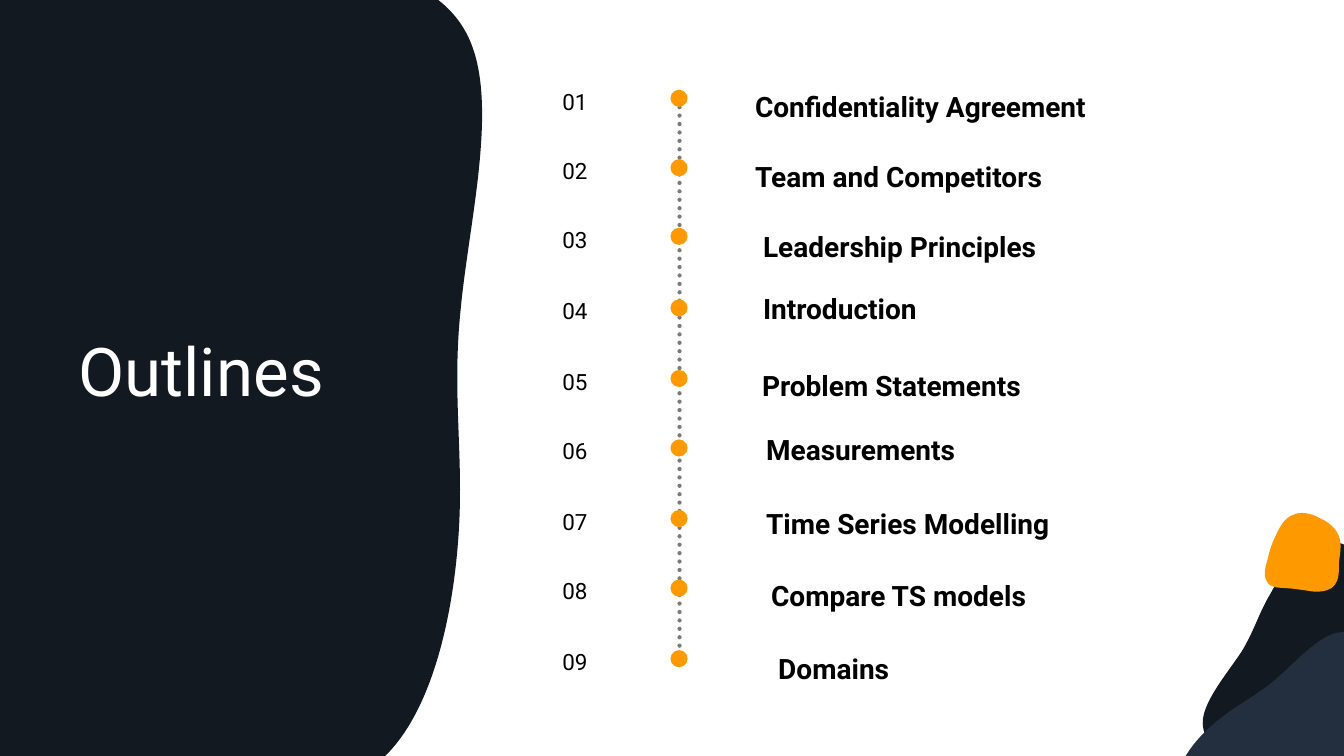
from math import cos, radians, sin

from lxml.etree import SubElement
from pptx import Presentation
from pptx.dml.color import RGBColor
from pptx.enum.dml import MSO_LINE
from pptx.enum.shapes import MSO_CONNECTOR, MSO_SHAPE
from pptx.enum.text import MSO_AUTO_SIZE
from pptx.oxml.ns import qn
from pptx.util import Inches, Pt

NAVY, SLATE, ORANGE, GREY = "131921", "232F3E", "FF9900", "595959"
BLACK, WHITE = "000000", "FFFFFF"

HEADING = {"size": Pt(48)}
NUMBER = {"size": Pt(16)}
TOPIC = {"size": Pt(20), "bold": True}

# Top of each number; its dot sits a fixed distance lower
ROW_TOPS = [0.74, 1.43, 2.11, 2.82, 3.52, 4.21, 4.91, 5.6, 6.3]
DOT_DROP = 0.15

# Topic, left, top, width, height, line spacing
TOPICS = [
    ("Confidentiality Agreement", 7.39, 0.74, 3.74, 0.5, 1.3),
    ("Team and Competitors", 7.39, 1.43, 3.21, 0.5, 1.3),
    ("Leadership Principles", 7.47, 2.13, 3.3, 0.5, 1.3),
    ("Introduction", 7.47, 2.84, 2.47, 0.44, None),
    ("Problem Statements", 7.46, 3.51, 3.54, 0.5, 1.3),
    ("Measurements", 7.5, 4.24, 2.57, 0.44, None),
    ("Time Series Modelling", 7.5, 4.88, 3.35, 0.5, 1.3),
    ("Compare TS models", 7.55, 5.59, 3.04, 0.5, 1.3),
    ("Domains", 7.62, 6.31, 1.51, 0.5, 1.3),
]

# Each outline: a start point, then line ends (2 numbers) or Bezier curves (6 numbers)
PANEL = [
    (2.91, -0.35),
    (3.67, -0.37, 4.44, -0.19, 4.68, 0.45),
    (4.93, 1.11, 4.65, 2.22, 4.57, 3.06),
    (4.48, 3.91, 4.6, 4.49, 4.55, 5.28),
    (4.5, 6.07, 4.3, 7.05, 3.8, 7.52),
    (3.37, 7.93, 2.72, 7.94, 2.13, 7.68),
    (1.96, 7.59), (1.96, 7.69), (0, 7.69), (0, -0.15), (1.81, -0.15), (1.82, -0.15),
    (2.16, -0.29, 2.53, -0.35, 2.91, -0.35),
]
NAVY_BLOB = [
    (11.93, 7.14),
    (11.95, 6.94, 12.17, 6.68, 12.31, 6.47),
    (12.44, 6.26, 12.48, 6.09, 12.6, 5.89),
    (12.71, 5.68, 12.9, 5.45, 13.09, 5.39),
    (13.28, 5.33, 13.48, 5.45, 13.6, 5.63),
    (13.72, 5.82, 13.76, 6.07, 13.73, 6.33),
    (13.7, 6.58, 13.6, 6.83, 13.46, 7.07),
    (13.31, 7.31, 13.13, 7.53, 12.93, 7.63),
    (12.72, 7.72, 12.5, 7.68, 12.3, 7.59),
    (12.09, 7.49, 11.91, 7.34, 11.93, 7.14),
]
SLATE_BLOB = [
    (13.25, 6.28),
    (13.05, 6.33, 12.83, 6.59, 12.64, 6.75),
    (12.45, 6.91, 12.29, 6.98, 12.1, 7.13),
    (11.92, 7.27, 11.72, 7.49, 11.69, 7.68),
    (11.66, 7.88, 11.8, 8.06, 12, 8.15),
    (12.2, 8.24, 12.46, 8.25, 12.71, 8.18),
    (12.95, 8.11, 13.19, 7.98, 13.4, 7.8),
    (13.62, 7.62, 13.81, 7.41, 13.87, 7.19),
    (13.94, 6.98, 13.86, 6.76, 13.74, 6.57),
    (13.62, 6.39, 13.45, 6.23, 13.25, 6.28),
]
ORANGE_BLOB = [
    (13.04, 5.87),
    (12.96, 5.86, 12.9, 5.85, 12.82, 5.84),
    (12.73, 5.83, 12.62, 5.84, 12.58, 5.79),
    (12.53, 5.74, 12.54, 5.65, 12.57, 5.56),
    (12.59, 5.47, 12.61, 5.4, 12.65, 5.32),
    (12.69, 5.23, 12.74, 5.14, 12.82, 5.11),
    (12.9, 5.07, 13, 5.09, 13.09, 5.14),
    (13.18, 5.18, 13.25, 5.24, 13.28, 5.32),
    (13.31, 5.4, 13.29, 5.49, 13.28, 5.58),
    (13.28, 5.67, 13.28, 5.75, 13.24, 5.8),
    (13.2, 5.86, 13.12, 5.87, 13.04, 5.87),
]


def rgb(color):
    return RGBColor.from_string(color)


def paint(sp, color):
    sp.shadow.inherit = False
    sp.fill.solid()
    sp.fill.fore_color.rgb = rgb(color)
    sp.line.fill.background()


def to_local(x, y, box, angle):
    """Turn a slide point into a point of the unrotated box, in EMU."""
    left, top, width, height = box
    dx, dy = x - left - width / 2, y - top - height / 2
    a = radians(angle)
    return (Inches(dx * cos(a) + dy * sin(a) + width / 2),
            Inches(dy * cos(a) - dx * sin(a) + height / 2))


def add_blob(s, outline, color, box, angle=0):
    """Build a freeform that fills the box, then give it the curved outline."""
    left, top, width, height = map(Inches, box)
    right, bottom = left + width, top + height
    builder = s.shapes.build_freeform(left, top)
    builder.add_line_segments([(right, top), (right, bottom), (left, bottom)])
    sp = builder.convert_to_shape()
    geometry = next(sp._element.iter(qn("a:path")))
    for child in list(geometry):
        geometry.remove(child)
    for i, numbers in enumerate(outline):
        tag = "a:moveTo" if i == 0 else "a:lnTo" if len(numbers) == 2 else "a:cubicBezTo"
        segment = SubElement(geometry, qn(tag))
        for point in zip(numbers[::2], numbers[1::2]):
            x, y = to_local(*point, box, angle)
            SubElement(segment, qn("a:pt"), x=str(x), y=str(y))
    SubElement(geometry, qn("a:close"))
    sp.rotation = angle
    paint(sp, color)


def add_text(s, text, box, font, color=BLACK, spacing=None, wrap=True):
    tf = s.shapes.add_textbox(*map(Inches, box)).text_frame
    tf.word_wrap = wrap
    tf.auto_size = MSO_AUTO_SIZE.SHAPE_TO_FIT_TEXT
    p = tf.paragraphs[0]
    p.line_spacing = spacing
    r = p.add_run()
    r.text = text
    for name, value in {"name": "Roboto", **font}.items():
        setattr(r.font, name, value)
    r.font.color.rgb = rgb(color)


def add_dotted_line(shapes, x, top, bottom):
    line = shapes.add_connector(MSO_CONNECTOR.STRAIGHT, *map(Inches, (x, top, x, bottom)))
    line.line.width = Pt(3)
    line.line.color.rgb = rgb(GREY)
    line.line.dash_style = MSO_LINE.ROUND_DOT
    props = line._element.spPr
    ln = props.find(qn("a:ln"))
    ln.set("cap", "rnd")
    SubElement(next(ln.iter(qn("a:srgbClr"))), qn("a:alpha"), val="80000")
    SubElement(props, qn("a:effectLst"))


def add_timeline(s):
    group = s.shapes.add_group_shape()
    add_dotted_line(group.shapes, 6.74, 0.98, 6.5)
    for top in ROW_TOPS:
        box = (6.65, top + DOT_DROP, 0.17, 0.17)
        paint(group.shapes.add_shape(MSO_SHAPE.OVAL, *map(Inches, box)), ORANGE)


def main():
    prs = Presentation()
    prs.slide_width, prs.slide_height = Inches(13.33), Inches(7.5)
    s = prs.slides.add_slide(prs.slide_layouts[6])

    add_blob(s, PANEL, NAVY, (0, -0.36, 4.78, 8.21))
    add_text(s, "Outlines", (0.68, 3.22, 2.78, 0.91), HEADING, WHITE, wrap=False)
    for topic, *box, spacing in TOPICS:
        add_text(s, topic, box, TOPIC, spacing=spacing)
    add_timeline(s)
    add_blob(s, NAVY_BLOB, NAVY, (12.27, 5.35, 1.37, 2.42), 206.4)
    add_blob(s, SLATE_BLOB, SLATE, (12.14, 6.17, 1.37, 2.42), 55.1)
    for i, top in enumerate(ROW_TOPS, 1):
        add_text(s, f"{i:02}", (5.48, top, 0.81, 0.42), NUMBER, spacing=1.3)
    add_blob(s, ORANGE_BLOB, ORANGE, (12.52, 5.15, 0.85, 0.79), 128.5)

    prs.save("out.pptx")


if __name__ == "__main__":
    main()
